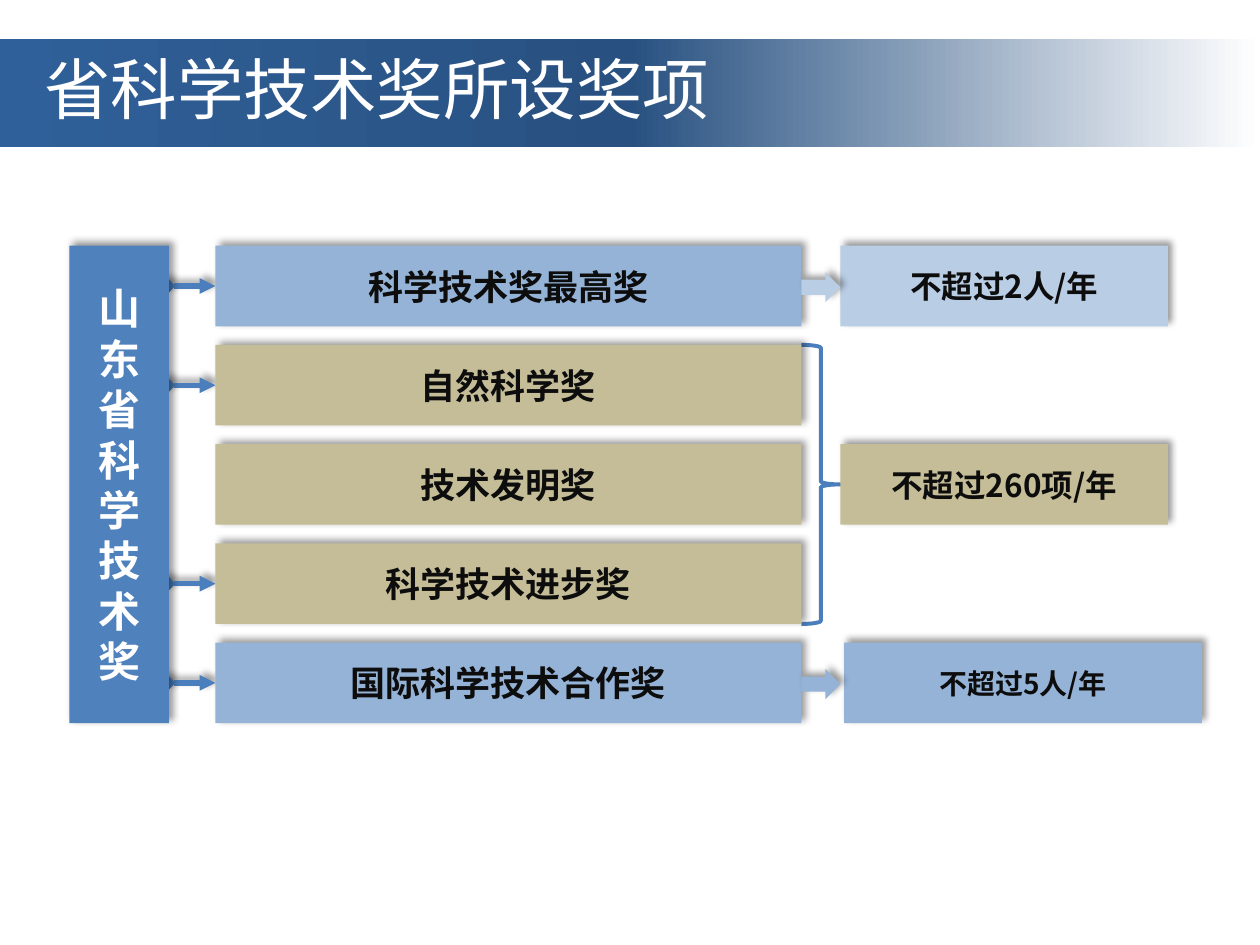
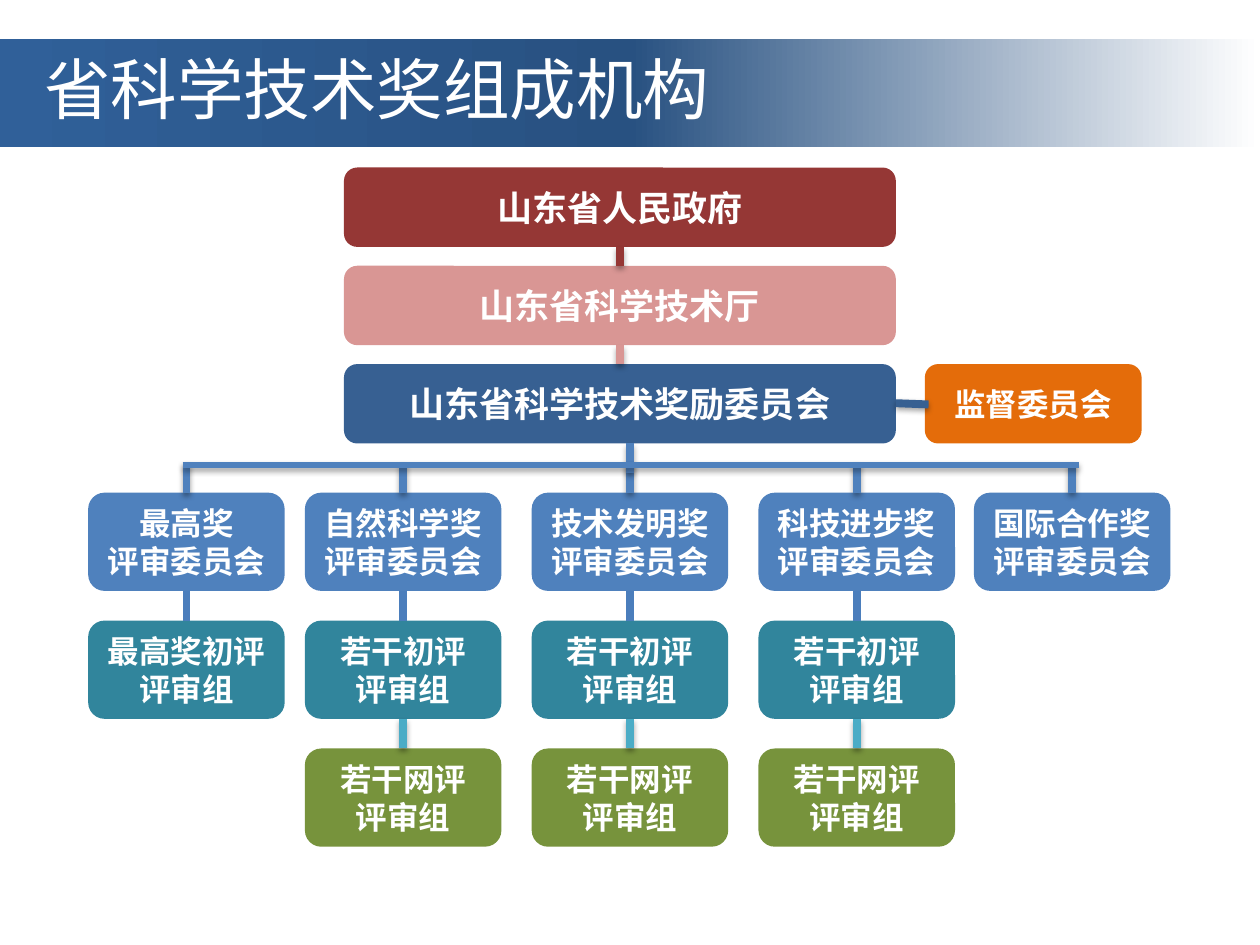
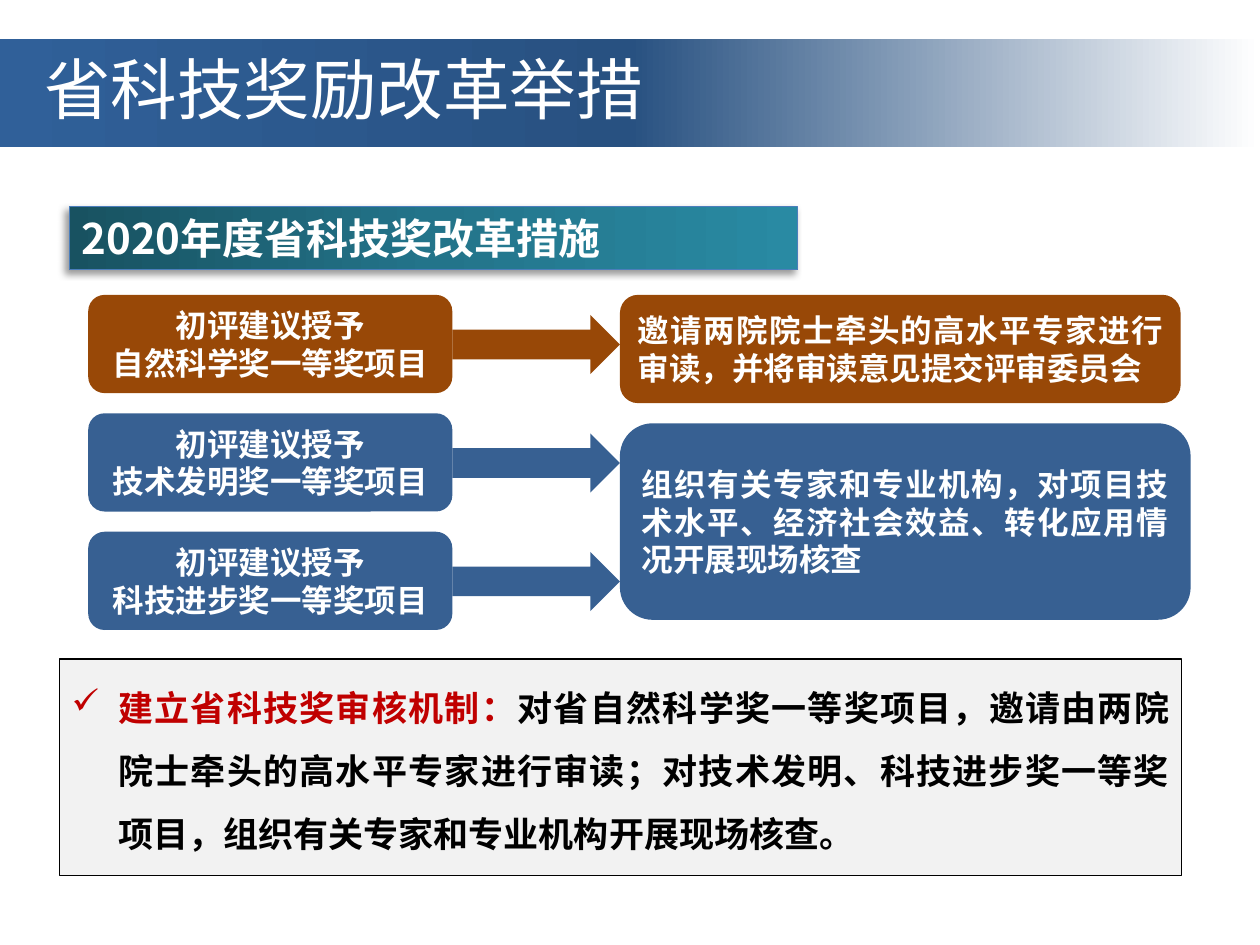
from lxml.etree import SubElement
from pptx import Presentation
from pptx.dml.color import RGBColor
from pptx.enum.shapes import MSO_CONNECTOR, MSO_SHAPE
from pptx.enum.text import MSO_ANCHOR, PP_ALIGN
from pptx.oxml.ns import qn
from pptx.util import Inches, Pt

FONT = "Noto Sans CJK SC"
LATIN_FONT = "Calibri"

WHITE = RGBColor(0xFF, 0xFF, 0xFF)
BLACK = RGBColor(0x00, 0x00, 0x00)
INK = RGBColor(0x0D, 0x0D, 0x0D)
BLUE = RGBColor(0x4F, 0x81, 0xBD)
LINE_BLUE = RGBColor(0x4B, 0x7E, 0xBC)
NAVY = RGBColor(0x37, 0x60, 0x92)
MID_BLUE = RGBColor(0x95, 0xB3, 0xD7)
PALE_BLUE = RGBColor(0xB9, 0xCD, 0xE5)
TAN = RGBColor(0xC4, 0xBD, 0x97)
DARK_RED = RGBColor(0x95, 0x37, 0x35)
PINK = RGBColor(0xD9, 0x96, 0x94)
ORANGE = RGBColor(0xE4, 0x6C, 0x0A)
TEAL = RGBColor(0x31, 0x85, 0x9C)
AQUA = RGBColor(0x4B, 0xAC, 0xC6)
GREEN = RGBColor(0x77, 0x93, 0x3C)
BROWN = RGBColor(0x98, 0x48, 0x07)
PALE_GREY = RGBColor(0xF2, 0xF2, 0xF2)
RED = RGBColor(0xC0, 0x00, 0x00)
BAND_COLORS = (WHITE, RGBColor(0x28, 0x51, 0x81), RGBColor(0x30, 0x60, 0x99))
BANNER_COLORS = (RGBColor(0x18, 0x52, 0x61), RGBColor(0x23, 0x74, 0x8A),
                 RGBColor(0x29, 0x8A, 0xA3))

# Shadows: opacity in percent, blur and distance in points, direction in degrees
SHADOW_UP = (40, 4, 3, 315)
SHADOW_LEFT = (40, 4, 3, 135)
SHADOW_DOWN = (35, 3.1, 1.8, 90)


def add_color(parent, color):
    return SubElement(parent, qn("a:srgbClr"), val=str(color))


def set_shadow(shape, shadow):
    """Write the effect list; it stays empty when there is no shadow."""
    effects = SubElement(shape._element.spPr, qn("a:effectLst"))
    if shadow:
        opacity, blur, distance, direction = shadow
        outer = SubElement(effects, qn("a:outerShdw"), blurRad=str(Pt(blur)),
                           dist=str(Pt(distance)), dir=str(direction * 60000),
                           algn="ctr", rotWithShape="0")
        SubElement(add_color(outer, BLACK), qn("a:alpha"), val=str(opacity * 1000))


def set_gradient(shape, colors, angle):
    """Fill with evenly spaced stops, the angle being clockwise."""
    shape.fill.gradient()
    gradient = shape._element.spPr.find(qn("a:gradFill"))
    for child in list(gradient):
        gradient.remove(child)
    stops = SubElement(gradient, qn("a:gsLst"))
    for index, color in enumerate(colors):
        position = index * 100000 // (len(colors) - 1)
        add_color(SubElement(stops, qn("a:gs"), pos=str(position)), color)
    SubElement(gradient, qn("a:lin"), ang=str(angle * 60000), scaled="0")


def add_block(slide, kind, area, fill=None, gradient=None, line=None, shadow=None):
    """Add a preset shape; gradient is (colours, angle), line is (colour, width)."""
    shape = slide.shapes.add_shape(kind, *map(Inches, area))
    if gradient:
        set_gradient(shape, *gradient)
    elif fill is not None:
        shape.fill.solid()
        shape.fill.fore_color.rgb = fill
    else:
        shape.fill.background()
    if line:
        shape.line.color.rgb = line[0]
        shape.line.width = Pt(line[1])
    else:
        shape.line.fill.background()
    set_shadow(shape, shadow)
    return shape


def add_run(paragraph, text, size, color, bold=True, font=FONT):
    run = paragraph.add_run()
    run.text = text
    run.font.size = Pt(size)
    run.font.bold = bold
    run.font.name = font
    run.font.color.rgb = color
    SubElement(run._r.get_or_add_rPr(), qn("a:ea"), typeface=FONT)


def write_text(shape, text, size, color=WHITE, align=PP_ALIGN.CENTER,
               anchor=MSO_ANCHOR.MIDDLE, bold=True, font=FONT):
    """Write one paragraph for each line of the text."""
    frame = shape.text_frame
    frame.word_wrap = True
    frame.vertical_anchor = anchor
    for index, line in enumerate(text.split("\n")):
        paragraph = frame.add_paragraph() if index else frame.paragraphs[0]
        paragraph.alignment = align
        add_run(paragraph, line, size, color, bold, font)


def add_box(slide, area, fill, text, size=18, rounded=True, shadow=None, **style):
    kind = MSO_SHAPE.ROUNDED_RECTANGLE if rounded else MSO_SHAPE.RECTANGLE
    shape = add_block(slide, kind, area, fill, shadow=shadow)
    write_text(shape, text, size, **style)


def add_line(slide, start, end, color, width=4.5, shadow=None, ends=None):
    """Draw a straight connector; ends names its head and tail marks."""
    connector = slide.shapes.add_connector(
        MSO_CONNECTOR.STRAIGHT, *map(Inches, (*start, *end)))
    connector.line.color.rgb = color
    connector.line.width = Pt(width)
    if ends:
        outline = connector._element.spPr.find(qn("a:ln"))
        for tag, mark in zip(("a:headEnd", "a:tailEnd"), ends):
            SubElement(outline, qn(tag), type=mark)
    set_shadow(connector, shadow)


def add_titled_slide(presentation, title):
    slide = presentation.slides.add_slide(presentation.slide_layouts[6])
    band = add_block(slide, MSO_SHAPE.RECTANGLE, (0, 0.31, 10, 0.86),
                     gradient=(BAND_COLORS, 180))
    band.text_frame.margin_left = Inches(0.35)
    band.text_frame.margin_top = Inches(0.07)
    write_text(band, title, 38, align=PP_ALIGN.LEFT, anchor=MSO_ANCHOR.TOP, bold=False)
    return slide


def build_awards(presentation):
    slide = add_titled_slide(presentation, "省科学技术奖所设奖项")
    top, bottom, height = 1.95, 5.74, 0.64
    left, width = 1.71, 4.65
    right = left + width
    awards = (("科学技术奖最高奖", MID_BLUE), ("自然科学奖", TAN), ("技术发明奖", TAN),
              ("科学技术进步奖", TAN), ("国际科学技术合作奖", MID_BLUE))
    step = (bottom - top - height) / (len(awards) - 1)
    rows = [top + index * step for index in range(len(awards))]

    brace = add_block(slide, MSO_SHAPE.RIGHT_BRACE,
                      (right, rows[1], 0.31, rows[3] + height - rows[1]),
                      line=(LINE_BLUE, 2.25))
    brace.adjustments[0] = 0.08
    brace.adjustments[1] = 0.5
    for row in (rows[0], rows[1], rows[3], rows[4]):
        middle = row + height / 2
        add_line(slide, (1.33, middle), (left, middle), LINE_BLUE, 3, SHADOW_UP,
                 ("diamond", "triangle"))
    for row, (name, color) in zip(rows, awards):
        add_box(slide, (left, row, width, height), color, name, 20,
                rounded=False, shadow=SHADOW_UP, color=INK)
    add_box(slide, (0.55, top, 0.79, bottom - top), BLUE, "山东省科学技术奖", 24,
            rounded=False, shadow=SHADOW_UP)

    quotas = ((0, 6.67, 2.6, PALE_BLUE, "不超过2人/年", 18),
              (4, 6.7, 2.84, MID_BLUE, "不超过5人/年", 16),
              (2, 6.67, 2.6, TAN, "不超过260项/年", 18))
    for row, quota_left, quota_width, color, text, size in quotas:
        add_box(slide, (quota_left, rows[row], quota_width, height), color, text, size,
                rounded=False, shadow=SHADOW_UP, color=INK)
    for row, color in ((0, PALE_BLUE), (4, MID_BLUE)):
        add_block(slide, MSO_SHAPE.RIGHT_ARROW, (right, rows[row] + 0.21, 0.31, 0.24),
                  color, shadow=SHADOW_UP)


def build_organisation(presentation):
    slide = add_titled_slide(presentation, "省科学技术奖组成机构")
    authorities = (("山东省人民政府", DARK_RED), ("山东省科学技术厅", PINK),
                   ("山东省科学技术奖励委员会", NAVY))
    top, step, height = 1.33, 0.78, 0.63
    for index, (name, color) in enumerate(authorities):
        add_box(slide, (2.73, top + index * step, 4.38, height), color, name, 20)
    add_box(slide, (7.34, top + 2 * step, 1.72, height), ORANGE, "监督委员会")

    columns = (0.7, 2.42, 4.22, 6.02, 7.73)
    box_width, box_height = 1.56, 0.78
    centers = [column + box_width / 2 for column in columns]
    rows = [3.91 + index * 1.015 for index in range(3)]
    prizes = ("最高奖", "自然科学奖", "技术发明奖", "科技进步奖", "国际合作奖")
    tiers = ((BLUE, 0, [f"{prize}\n评审委员会" for prize in prizes]),
             (TEAL, 0, ["最高奖初评\n评审组"] + ["若干初评\n评审组"] * 3),
             (GREEN, 1, ["若干网评\n评审组"] * 3))
    for row, (color, first, names) in zip(rows, tiers):
        for column, name in zip(columns[first:], names):
            add_box(slide, (column, row, box_width, box_height), color, name)

    links = ((0, centers[:4], LINE_BLUE, None), (1, centers[1:4], AQUA, SHADOW_DOWN))
    for row, link_centers, color, shadow in links:
        for center in link_centers:
            add_line(slide, (center, rows[row] + box_height), (center, rows[row + 1]),
                     color, shadow=shadow)
    for center in centers:
        add_line(slide, (center, 3.67), (center, rows[0]), BLUE, shadow=SHADOW_DOWN)
    add_line(slide, (centers[2], 3.52), (centers[2], 3.75), BLUE, shadow=SHADOW_DOWN)
    add_line(slide, (1.45, 3.69), (8.56, 3.69), BLUE, 3, SHADOW_DOWN)
    add_line(slide, (7.11, 3.2), (7.37, 3.21), NAVY, shadow=SHADOW_DOWN)
    for index, (_, color) in enumerate(authorities[:2]):
        add_line(slide, (4.92, top + index * step + height),
                 (4.92, top + (index + 1) * step), color, shadow=SHADOW_DOWN)


def add_mechanism_note(slide):
    note = add_block(slide, MSO_SHAPE.RECTANGLE, (0.47, 5.23, 8.91, 1.72),
                     PALE_GREY, line=(BLACK, 0.75))
    note.text_frame.word_wrap = True
    note.text_frame.vertical_anchor = MSO_ANCHOR.TOP
    paragraph = note.text_frame.paragraphs[0]
    paragraph.alignment = PP_ALIGN.JUSTIFY
    paragraph.line_spacing = 1.5
    properties = paragraph._p.get_or_add_pPr()
    properties.set("marL", str(Inches(0.37)))
    properties.set("indent", str(-Inches(0.37)))
    SubElement(properties, qn("a:buChar"), char="✓")
    add_run(paragraph, "建立省科技奖审核机制：", 20, RED)
    add_run(paragraph, "对省自然科学奖一等奖项目，邀请由两院院士牵头的高水平专家进行审读；"
            "对技术发明、科技进步奖一等奖项目，组织有关专家和专业机构开展现场核查。", 20, BLACK)


def build_reforms(presentation):
    slide = add_titled_slide(presentation, "省科技奖励改革举措")
    add_mechanism_note(slide)
    banner = add_block(slide, MSO_SHAPE.RECTANGLE, (0.55, 1.64, 5.78, 0.5),
                       gradient=(BANNER_COLORS, 0), line=(LINE_BLUE, 0.75),
                       shadow=SHADOW_LEFT)
    write_text(banner, "2020年度省科技奖改革措施", 24, align=PP_ALIGN.LEFT,
               anchor=MSO_ANCHOR.TOP)

    left, width, arrow_width = 0.7, 2.89, 1.33
    prizes = (("自然科学奖", BROWN), ("技术发明奖", NAVY), ("科技进步奖", NAVY))
    for index, (prize, color) in enumerate(prizes):
        row = 2.34 + index * 0.94
        add_box(slide, (left, row, width, 0.78), color, f"初评建议授予\n{prize}一等奖项目")
        add_block(slide, MSO_SHAPE.RIGHT_ARROW,
                  (left + width, row + 0.16, arrow_width, 0.47), color)

    measures = (
        (2.34, 4.45, 0.86, BROWN,
         "邀请两院院士牵头的高水平专家进行审读，并将审读意见提交评审委员会"),
        (3.36, 4.53, 1.56, NAVY,
         "组织有关专家和专业机构，对项目技术水平、经济社会效益、转化应用情况开展现场核查"))
    for row, measure_width, height, color, text in measures:
        add_box(slide, (left + width + arrow_width, row, measure_width, height), color,
                text, align=PP_ALIGN.JUSTIFY, font=LATIN_FONT)


def main():
    presentation = Presentation()
    presentation.slide_width = Inches(10)
    presentation.slide_height = Inches(7.5)
    build_awards(presentation)
    build_organisation(presentation)
    build_reforms(presentation)
    presentation.save("out.pptx")


if __name__ == "__main__":
    main()
